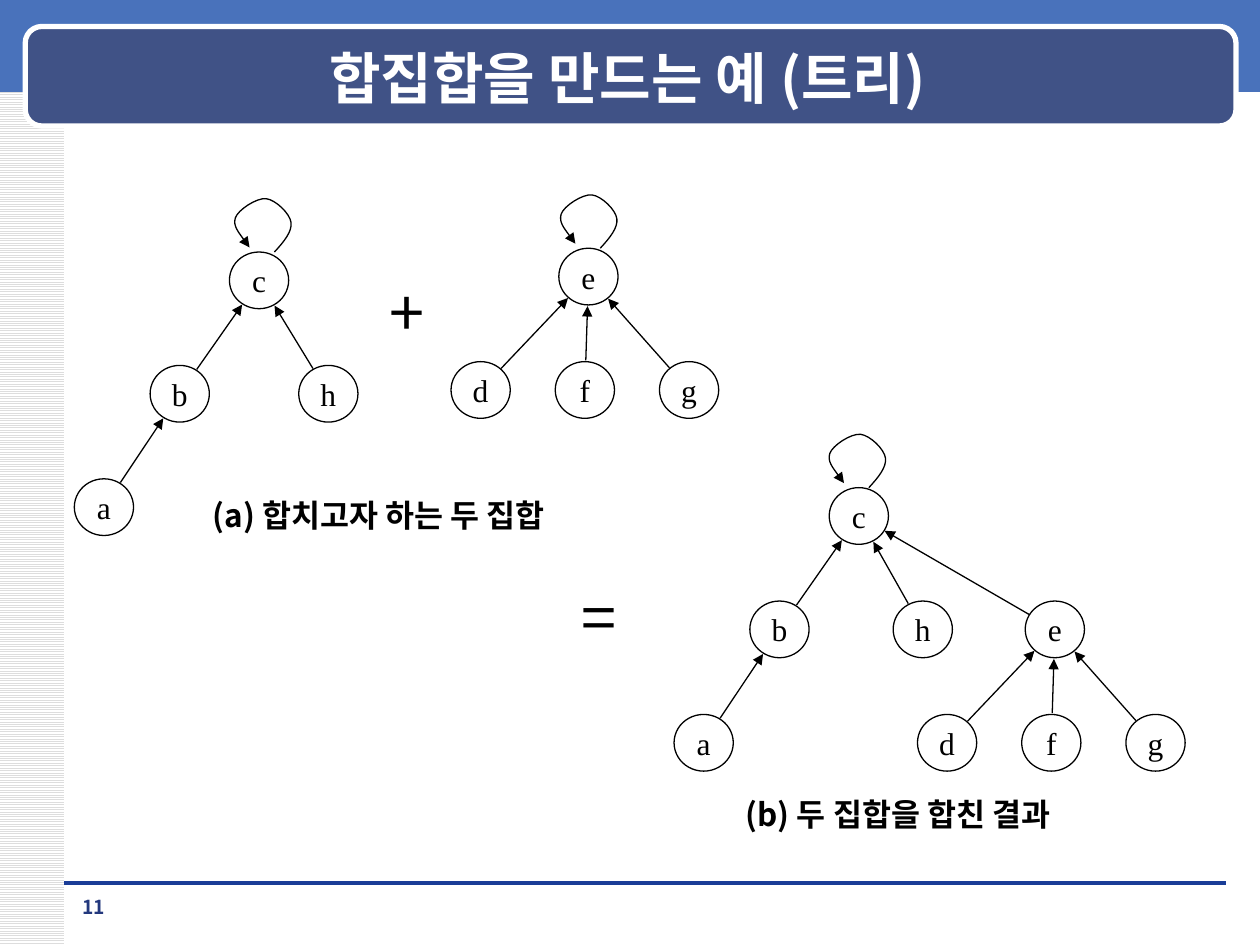
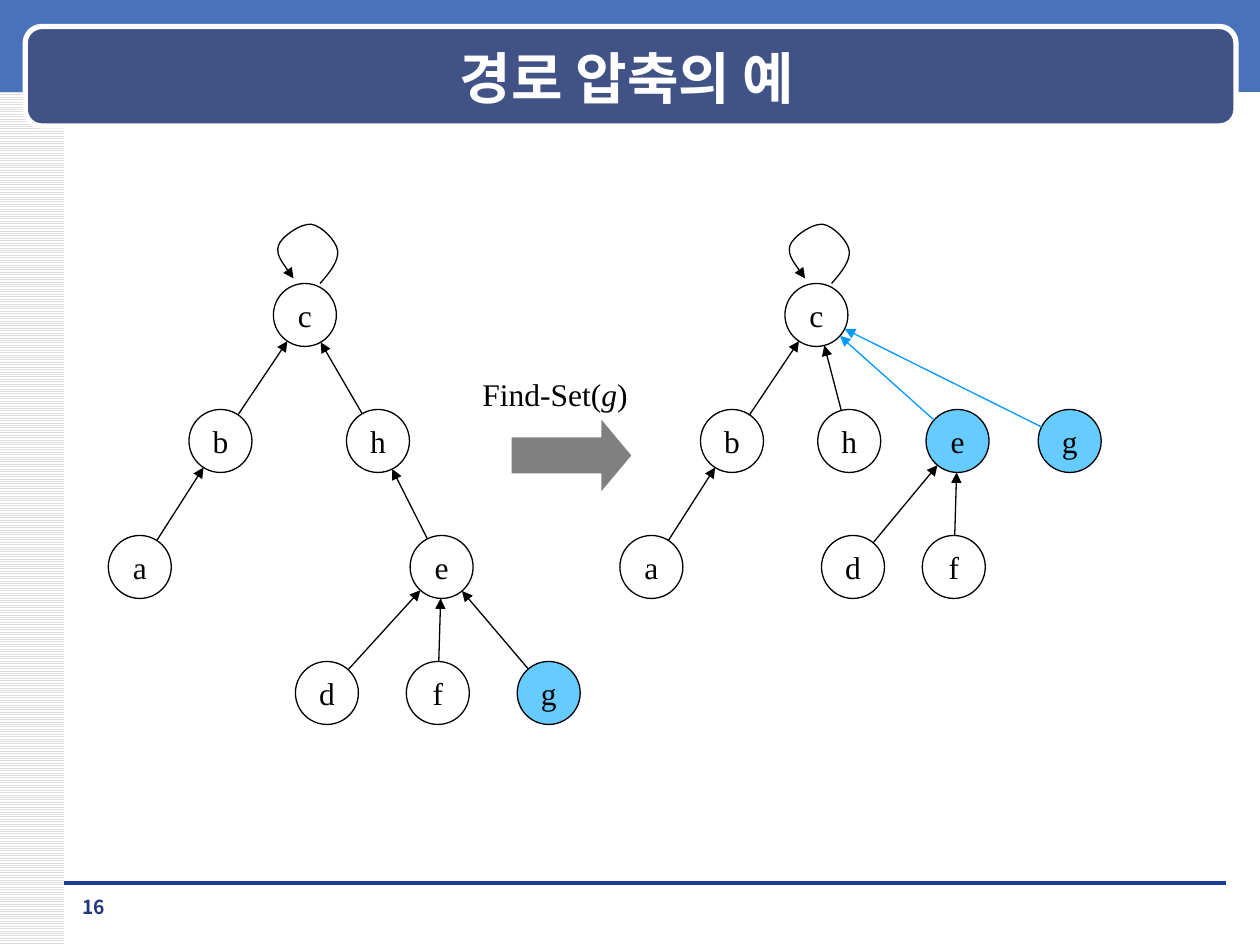
from collections import namedtuple
from math import hypot

from pptx import Presentation
from pptx.dml.color import RGBColor
from pptx.enum.dml import MSO_PATTERN
from pptx.enum.shapes import MSO_CONNECTOR, MSO_SHAPE
from pptx.enum.text import MSO_ANCHOR, MSO_AUTO_SIZE, PP_ALIGN
from pptx.oxml.ns import qn
from pptx.oxml.xmlchemy import OxmlElement
from pptx.util import Inches, Pt

# The slide is a grid of 100 columns by 75 rows; a Box is measured in its cells.
COLUMNS, ROWS = 100, 75
CELL = Inches(0.1)
Box = namedtuple("Box", "left top width height")

KOREAN, LATIN = "Noto Sans CJK KR", "Times New Roman"
BLACK, WHITE = "000000", "FFFFFF"
BAND, PLATE, RULE, NUMBER = "4972BB", "405286", "1A3D97", "23387D"
STRIPE, ARROW = "DDDDDD", "808080"
MARKED_NODE, NEW_EDGE = "66CCFF", "0099FF"

# Start point, then control and end points of the curves, in shares of a node.
LOOP = [(0.74, 0),
        (0.9, -0.18), (1.04, -0.36), (1.02, -0.52),
        (1, -0.68), (0.76, -0.92), (0.6, -0.94),
        (0.44, -0.96), (0.12, -0.74), (0.08, -0.6),
        (0.04, -0.46), (0.18, -0.28), (0.32, -0.08)]


def color(hex_string):
    return RGBColor.from_string(hex_string)


def cells(*values):
    return [round(value * CELL) for value in values]


def paint(shape, fill=None, line=None, width=0.75):
    """Set fill and line; None leaves that part empty."""
    shape.shadow.inherit = False
    if fill:
        shape.fill.solid()
        shape.fill.fore_color.rgb = color(fill)
    else:
        shape.fill.background()
    if line:
        shape.line.color.rgb = color(line)
        shape.line.width = Pt(width)
    else:
        shape.line.fill.background()


def add_preset(page, preset, box, **look):
    shape = page.shapes.add_shape(preset, *cells(*box))
    paint(shape, **look)
    return shape


def write(shape, spans, size, font, ink=BLACK, bold=False, align=PP_ALIGN.CENTER,
          anchor=MSO_ANCHOR.MIDDLE, wrap=False):
    """Fill the shape with one paragraph; spans are (text, italic) pairs or a string."""
    frame = shape.text_frame
    frame.word_wrap = wrap
    frame.vertical_anchor = anchor
    para = frame.paragraphs[0]
    para.alignment = align
    para.font.size, para.font.name, para.font.bold = Pt(size), font, bold
    para.font.color.rgb = color(ink)
    for props in shape.element.iter(qn("a:defRPr")):
        east_asian = OxmlElement("a:ea")
        east_asian.set("typeface", font)
        props.append(east_asian)
    for text, italic in [(spans, False)] if isinstance(spans, str) else spans:
        span = para.add_run()
        span.text = text
        if italic:
            span.font.italic = True


def add_text(page, box, spans, size, font, **style):
    shape = page.shapes.add_textbox(*cells(*box))
    write(shape, spans, size, font, **style)
    return shape


def add_label(page, box, spans, size=18, font=KOREAN, **style):
    label = add_text(page, box, spans, size, font, align=PP_ALIGN.LEFT,
                     anchor=MSO_ANCHOR.TOP, **style)
    label.text_frame.auto_size = MSO_AUTO_SIZE.SHAPE_TO_FIT_TEXT


def add_line(page, start, end, ink, width):
    line = page.shapes.add_connector(MSO_CONNECTOR.STRAIGHT, *cells(*start, *end))
    line.line.color.rgb = color(ink)
    line.line.width = Pt(width)
    line.element.spPr.append(OxmlElement("a:effectLst"))
    return line


def add_arrowhead(shape):
    head = OxmlElement("a:tailEnd")
    head.set("type", "triangle")
    shape.line._get_or_add_ln().append(head)


def add_frame(deck, title, number):
    """Add a page with the stripes, band, title plate and footer all pages share."""
    page = deck.slides.add_slide(deck.slide_layouts[6])
    margin = 5.1
    stripes = add_preset(page, MSO_SHAPE.RECTANGLE, Box(0, 0, margin, ROWS))
    stripes.fill.patterned()
    stripes.fill.pattern = MSO_PATTERN.LIGHT_HORIZONTAL
    stripes.fill.fore_color.rgb = color(STRIPE)
    stripes.fill.back_color.rgb = color(WHITE)
    add_preset(page, MSO_SHAPE.RECTANGLE, Box(0, 0, COLUMNS, 7.3), fill=BAND)
    add_line(page, (margin, 70.1), (97.3, 70.1), RULE, 0)
    plate = add_preset(page, MSO_SHAPE.ROUNDED_RECTANGLE, Box(2, 2.1, 96.1, 7.9),
                       fill=PLATE, line=WHITE, width=3)
    plate.adjustments[0] = 0.167
    add_text(page, Box(7.1, 3, 85.4, 6.2), title, 32, KOREAN, ink=WHITE, bold=True,
             wrap=True)
    add_text(page, Box(margin, 70.6, 4.7, 2.7), number, 11, KOREAN, ink=NUMBER,
             bold=True, anchor=MSO_ANCHOR.TOP, wrap=True)
    return page


def add_loop(page, node, shift):
    """Draw the curved arrow from a root back to itself."""
    points = [tuple(cells(node.left + (x + shift) * node.width,
                          node.top + y * node.height)) for x, y in LOOP]
    builder = page.shapes.build_freeform(*points[0])
    builder.add_line_segments(points[1:], close=False)
    loop = builder.convert_to_shape()
    segments = list(loop.element.iter(qn("a:lnTo")))
    for first in range(0, len(segments), 3):
        curve = OxmlElement("a:cubicBezTo")
        segments[first].addprevious(curve)
        for segment in segments[first:first + 3]:
            curve.append(segment[0])
            segment.getparent().remove(segment)
    paint(loop, line=BLACK)
    add_arrowhead(loop)


def add_edge(page, child, parent, ink):
    """Point from the rim of one node to the rim of its parent."""
    x1, y1, x2, y2 = (child.left + child.width / 2, child.top + child.height / 2,
                      parent.left + parent.width / 2, parent.top + parent.height / 2)
    reach = child.width / 2 / hypot(x2 - x1, y2 - y1)
    dx, dy = (x2 - x1) * reach, (y2 - y1) * reach
    add_arrowhead(add_line(page, (x1 + dx, y1 + dy), (x2 - dx, y2 - dy), ink, 0.75))


def add_tree(page, origin, places, edges, marked="", new_edges="", shift=0):
    """Draw a tree whose node places are (column, level) from the origin node's box.

    A column is one node wide and a level is two nodes high. Each edge is
    a child and parent letter; the node without a parent gets a loop.
    """
    nodes = {name: Box(origin.left + column * origin.width,
                       origin.top + level * 2 * origin.height,
                       origin.width, origin.height)
             for name, (column, level) in places.items()}
    for name, box in nodes.items():
        fill = MARKED_NODE if name in marked else None
        circle = add_preset(page, MSO_SHAPE.OVAL, box, fill=fill, line=BLACK)
        frame = circle.text_frame
        frame.margin_left = frame.margin_right = 0
        frame.margin_top = frame.margin_bottom = 0
        write(circle, name, 18, LATIN)
    for child, parent in edges.split():
        ink = NEW_EDGE if child + parent in new_edges.split() else BLACK
        add_edge(page, nodes[child], nodes[parent], ink)
    children = {edge[0] for edge in edges.split()}
    root = next(name for name in nodes if name not in children)
    add_loop(page, nodes[root], shift)


def c_tree(h_column):
    return {"c": (2.62, 0), "a": (0, 2), "h": (h_column, 1), "b": (1.28, 1)}


def e_tree(column, level):
    """Place e above its evenly spaced children d, f and g."""
    children = {name: (column + 1.76 * i, level + 1) for i, name in enumerate("dfg")}
    return {"e": (column + 1.82, level), **children}


C_EDGES, E_EDGES = "ab hc bc", "de fe ge"


def add_union_page(deck):
    page = add_frame(deck, "합집합을 만드는 예 (트리)", "11")
    node = (4.7, 4.5)
    add_tree(page, Box(5.9, 20, *node), c_tree(3.79), C_EDGES, shift=0.02)
    add_tree(page, Box(35.8, 19.7, *node), e_tree(0, 0), E_EDGES, shift=-0.04)
    add_tree(page, Box(53.5, 38.7, *node), c_tree(3.7) | e_tree(4.11, 1),
             f"{C_EDGES} {E_EDGES} ec", shift=-0.07)
    add_label(page, Box(29.9, 21.2, 5.1, 7), "+", 36)
    add_label(page, Box(45.2, 45.4, 5.1, 7), "=", 36)
    add_label(page, Box(15.9, 38.9, 37.1, 4), "(a) 합치고자 하는 두 집합", bold=True, wrap=True)
    add_label(page, Box(58.2, 62.6, 29.5, 4), "(b) 두 집합을 합친 결과", bold=True, wrap=True)


def add_compression_page(deck):
    page = add_frame(deck, "경로 압축의 예", "16")
    node = (5, 5)
    add_tree(page, Box(8.6, 22.5, *node), c_tree(3.78) | e_tree(2.97, 2),
             f"{C_EDGES} {E_EDGES} eh", marked="g")
    compressed = c_tree(3.14) | {"e": (4.86, 1), "g": (6.64, 1),
                                 "d": (3.2, 2), "f": (4.8, 2)}
    add_tree(page, Box(49.2, 22.5, *node), compressed, f"{C_EDGES} de fe ec gc",
             marked="eg", new_edges="ec gc")
    arrow = add_preset(page, MSO_SHAPE.RIGHT_ARROW, Box(40.6, 33.3, 9.5, 5.7), fill=ARROW)
    arrow.adjustments[1] = 0.417
    add_label(page, Box(37.3, 29.3, 13.5, 4),
              [("Find-Set(", False), ("g", True), (")", False)], font=LATIN)


def main():
    deck = Presentation()
    deck.slide_width, deck.slide_height = cells(COLUMNS, ROWS)
    add_union_page(deck)
    add_compression_page(deck)
    deck.save("out.pptx")


if __name__ == "__main__":
    main()
